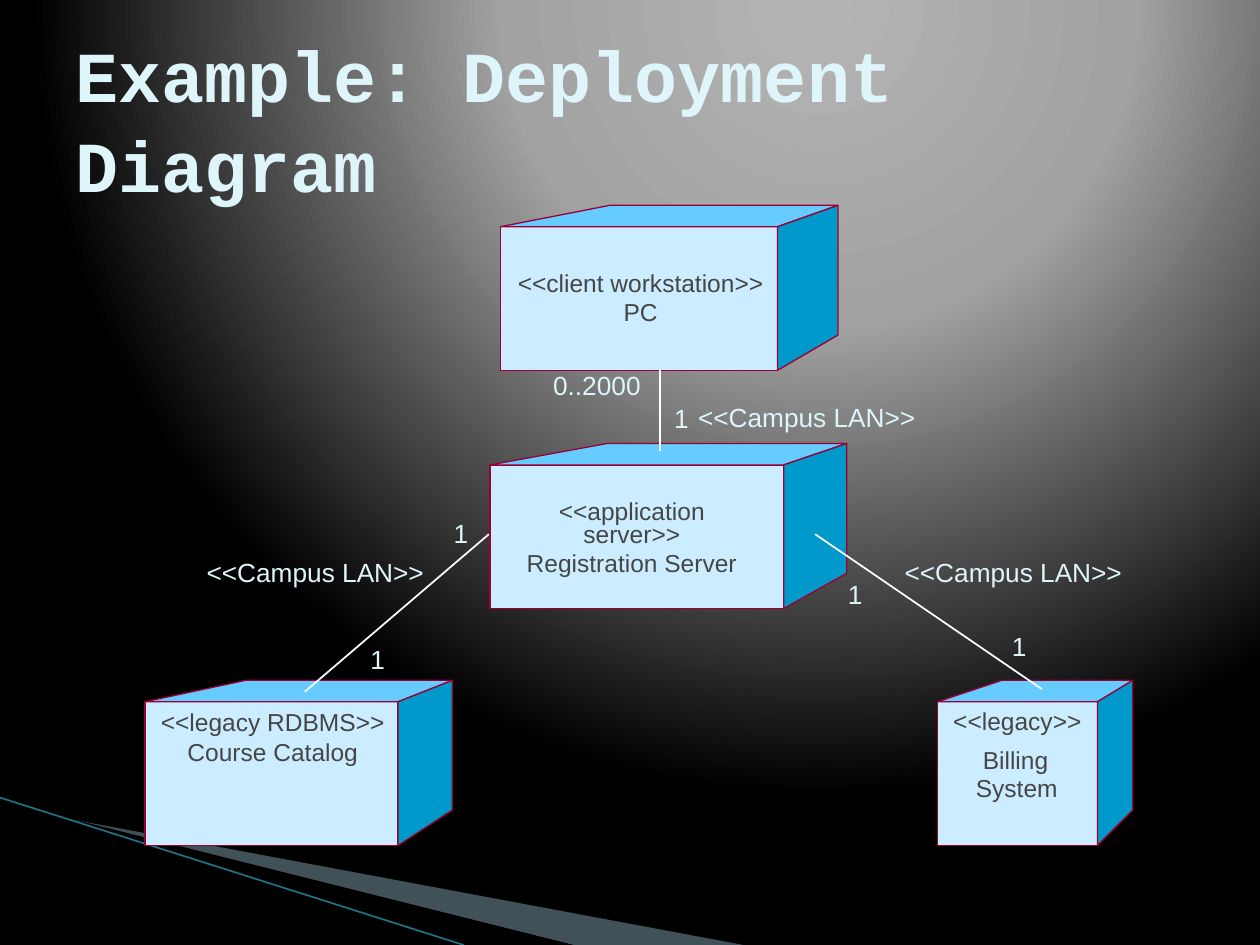
from lxml import etree
from pptx import Presentation
from pptx.dml.color import RGBColor
from pptx.enum.shapes import MSO_CONNECTOR, MSO_SHAPE
from pptx.enum.text import MSO_ANCHOR, PP_ALIGN
from pptx.oxml.ns import qn
from pptx.util import Inches, Pt

LINE, RECT = MSO_CONNECTOR.STRAIGHT, MSO_SHAPE.RECTANGLE
TOP, MIDDLE = MSO_ANCHOR.TOP, MSO_ANCHOR.MIDDLE
LEFT, CENTER = PP_ALIGN.LEFT, PP_ALIGN.CENTER

HUES = {
    "front": "CCECFF", "lid": "66CCFF", "side": "0099CC", "edge": "990033",
    "dark": "464646", "pale": "DEF5FA", "white": "FFFFFF", "black": "000000",
    "wedge": "A0CBDC", "teal": "1F7389",
}
GLOW = [(0, "B4B4B4"), (40, "A2A2A2"), (100, "000000")]
FOCUS = {"l": "65000", "t": "0", "r": "35000", "b": "98000"}
FORMS = {
    "title": {"size": Pt(41), "name": "Courier New", "bold": True},
    "node": {"size": Pt(14), "name": "Arial", "bold": False},
    "link": {"size": Pt(15), "name": "Arial", "bold": False},
}


class Sketch:
    """Draw deployment diagram parts on one slide in a shared style."""

    def __init__(self, slide):
        self.slide = slide
        self.shapes = slide.shapes

    def glow(self):
        self.slide.background.fill.solid()
        solid = next(self.slide._element.iter(qn("a:solidFill")))
        grad = etree.Element(qn("a:gradFill"), rotWithShape="1")
        stops = etree.SubElement(grad, qn("a:gsLst"))
        for pos, hue in GLOW:
            stop = etree.SubElement(stops, qn("a:gs"), pos=str(pos * 1000))
            etree.SubElement(stop, qn("a:srgbClr"), val=hue)
        ring = etree.SubElement(grad, qn("a:path"), {"path": "circle"})
        etree.SubElement(ring, qn("a:fillToRect"), FOCUS)
        solid.getparent().replace(solid, grad)

    def paint(self, shape, hue, edge=None, alpha=None):
        shape.shadow.inherit = False
        shape.fill.solid()
        shape.fill.fore_color.rgb = RGBColor.from_string(HUES[hue])
        if alpha:
            tint = next(shape._element.spPr.iter(qn("a:srgbClr")))
            etree.SubElement(tint, qn("a:alpha"), val=str(alpha * 1000))
        if edge:
            shape.line.color.rgb = RGBColor.from_string(HUES[edge])
            shape.line.width = Pt(0)
        else:
            shape.line.fill.background()

    def shard(self, home, points, hue, edge=None, alpha=None):
        spots = [(Inches(x), Inches(y)) for x, y in points]
        pen = home.build_freeform(*spots[0], scale=1.0)
        pen.add_line_segments(spots[1:], close=True)
        self.paint(pen.convert_to_shape(), hue, edge, alpha)

    def cube(self, left, top, right, back, far):
        home = self.shapes.add_group_shape().shapes
        brow, base, heel = top + 0.17, top + 1.31, top + 1.03
        front = home.add_shape(RECT, Inches(left), Inches(brow),
                               Inches(right - left), Inches(base - brow))
        self.paint(front, "front", "edge")
        lid = [(left, brow), (back, top), (far, top), (right, brow)]
        side = [(right, brow), (far, top), (far, heel), (right, base)]
        self.shard(home, lid, "lid", "edge")
        self.shard(home, side, "side", "edge")

    def text(self, lines, at, form, hue, align=LEFT, wrap=True,
             anchor=TOP, inset=0, pitch=0.8, lead=0.23):
        box = self.shapes.add_textbox(*map(Inches, at))
        frame = box.text_frame
        frame.text = "\n".join(lines)
        edges = {"margin_" + k: Inches(inset)
                 for k in ("left", "top", "right", "bottom")}
        for key, value in {"word_wrap": wrap, "vertical_anchor": anchor,
                           **edges}.items():
            setattr(frame, key, value)
        style = FORMS[form]
        space = Pt(round(style["size"].pt * lead, 1))
        for para in frame.paragraphs:
            for key, value in {"alignment": align, "line_spacing": pitch,
                               "space_before": space}.items():
                setattr(para, key, value)
            font = para.runs[0].font
            for key, value in style.items():
                setattr(font, key, value)
            font.color.rgb = RGBColor.from_string(HUES[hue])

    def line(self, start, end, hue="white", width=1):
        wire = self.shapes.add_connector(LINE, *map(Inches, start + end))
        wire.line.color.rgb = RGBColor.from_string(HUES[hue])
        wire.line.width = Pt(width)
        etree.SubElement(wire._element.spPr, qn("a:effectLst"))


def main():
    deck = Presentation()
    deck.slide_width, deck.slide_height = Inches(10), Inches(7.5)
    art = Sketch(deck.slides.add_slide(deck.slide_layouts[6]))
    art.glow()
    art.shard(art.shapes, [(0.55, 6.5), (5.9, 7.5), (4.55, 7.5)],
              "wedge", alpha=40)
    art.shard(art.shapes, [(0.53, 6.49), (4.55, 7.5), (3.7, 7.5)], "black")
    art.line((0, 6.33), (3.68, 7.5), "teal", 0.95)
    art.text(["Example: Deployment Diagram"], (0.5, 0.3, 9, 1.25), "title",
             "pale", anchor=MIDDLE, inset=0.1, pitch=1.05, lead=0)

    for cube in [(1.15, 5.4, 3.16, 1.95, 3.59), (3.89, 3.52, 6.22, 4.82, 6.72),
                 (3.97, 1.63, 6.17, 4.84, 6.65), (7.44, 5.4, 8.71, 7.95, 8.99)]:
        art.cube(*cube)
    for lines, at in [
        (["<<legacy RDBMS>>", "Course Catalog"], (1.19, 5.66, 1.95, 0.47)),
        (["<<application server>>", "Registration Server"],
         (4.13, 3.98, 1.77, 0.65)),
        (["<<client workstation>>", "PC"], (4.03, 2.17, 2.11, 0.47)),
        (["<<legacy>>"], (7.5, 5.65, 1.15, 0.23)),
        (["Billing"], (7.44, 5.96, 1.24, 0.23)),
        (["System"], (7.46, 6.18, 1.22, 0.23)),
    ]:
        art.text(lines, at, "node", "dark", CENTER)

    for word, width, spots in [
        ("<<Campus LAN>>", 1.73, [(5.54, 3.23), (7.18, 4.46), (1.64, 4.46)]),
        ("0..2000", 0.7, [(4.39, 2.98)]),
        ("1", 0.12, [(5.35, 3.24), (2.94, 5.15), (3.6, 4.15),
                     (6.73, 4.64), (8.03, 5.05)]),
    ]:
        for spot in spots:
            art.text([word], spot + (width, 0.25), "link", "pale", wrap=False)

    for start, end in [((5.24, 2.94), (5.24, 3.58)),
                       ((3.88, 4.24), (2.42, 5.49)),
                       ((6.47, 4.24), (8.27, 5.47))]:
        art.line(start, end)
    deck.save("out.pptx")


if __name__ == "__main__":
    main()
